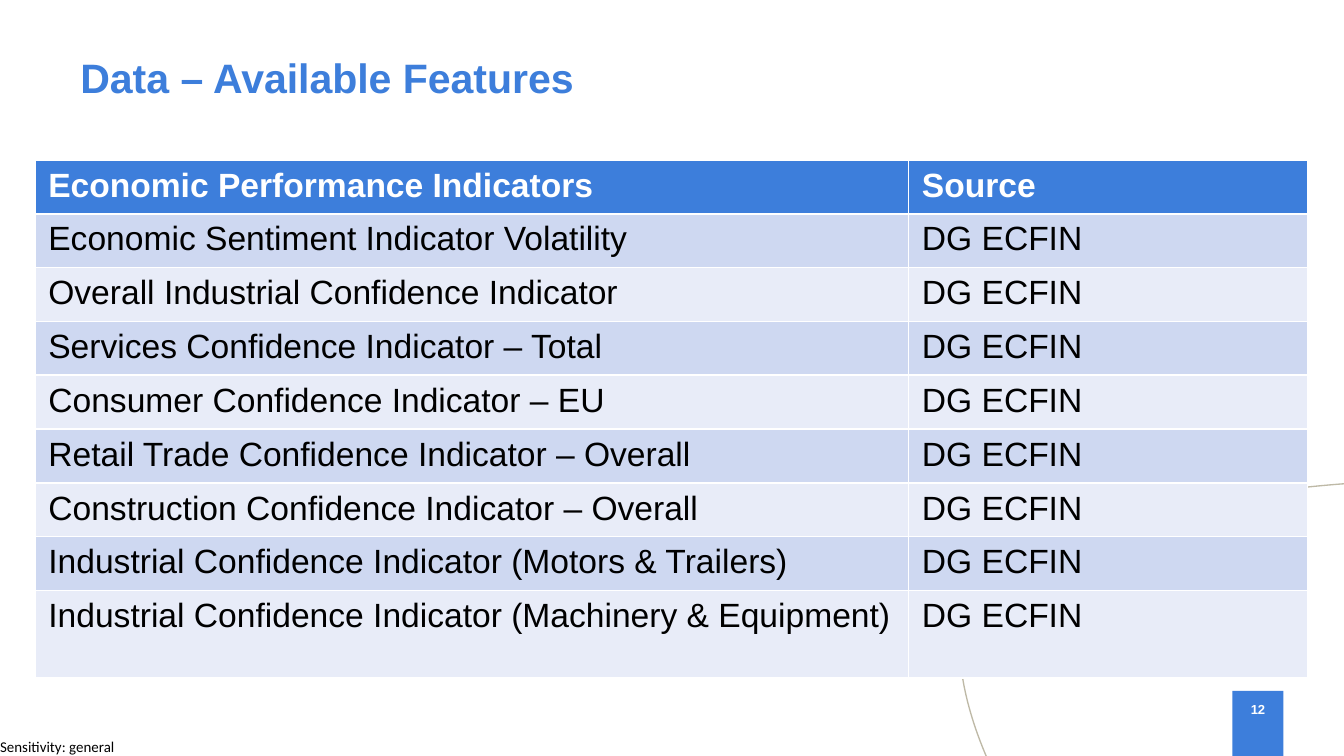
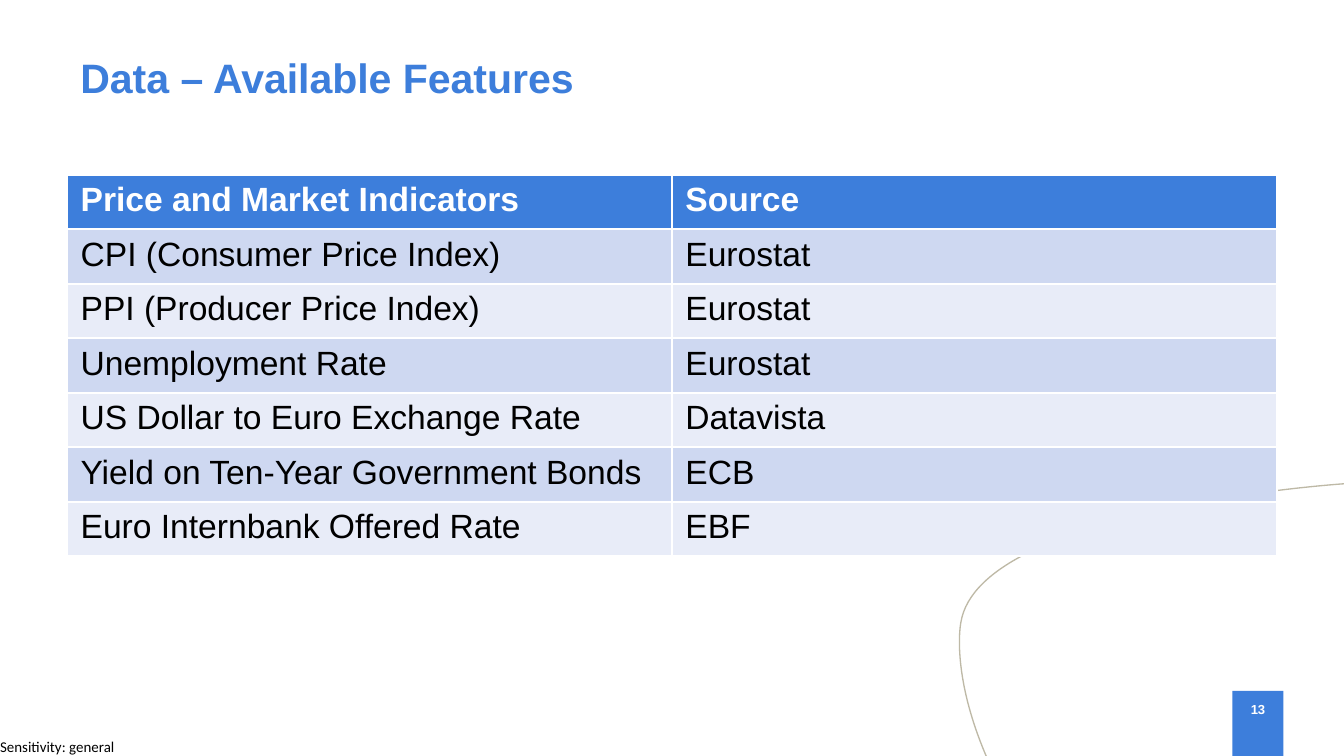
"""Build two slides listing the available data features and their sources."""
from lxml import etree
from pptx import Presentation
from pptx import util as u
from pptx.dml.color import RGBColor
from pptx.enum import shapes, text
from pptx.oxml.ns import qn

THEME = {
    "blue": RGBColor.from_string("3D7EDB"),
    "curve": RGBColor.from_string("BEB9A6"),
    "bands": [RGBColor.from_string("E8ECF8"), RGBColor.from_string("CED8F1")],
    "title": {"name": "Arial", "size": 22, "bold": True, "color": "3D7EDB"},
    "header": {"name": "Arial", "size": 18, "bold": True, "color": "FFFFFF"},
    "body": {"name": "Arial", "size": 18, "bold": False, "color": "000000"},
    "number": {"name": "Arial", "size": 7, "bold": True, "color": "FFFFFF"},
    "footer": {"name": "Calibri", "size": 8, "bold": False, "color": "000000"},
}
CURVE = [(10, 3.6), (10, 3.6), (7.29, 3.78), (7.15, 4.63),
         (7.15, 4.63), (7.07, 5), (7.34, 5.63)]
SLIDES = [
    {
        "number": 12, "left": 0.26, "top": 1.19, "height": 3.85, "columns": [6.5, 2.97],
        "row_heights": [0.37] * 8 + [0.65],
        "rows": [("Economic Performance Indicators", "Source")] + [
            (indicator, "DG ECFIN") for indicator in (
                "Economic Sentiment Indicator Volatility",
                "Overall Industrial Confidence Indicator",
                "Services Confidence Indicator – Total",
                "Consumer Confidence Indicator – EU",
                "Retail Trade Confidence Indicator – Overall",
                "Construction Confidence Indicator – Overall",
                "Industrial Confidence Indicator (Motors & Trailers)",
                "Industrial Confidence Indicator (Machinery & Equipment)",
            )],
    },
    {
        "number": 13, "left": 0.5, "top": 1.3, "height": 2.84, "columns": [4.5, 4.5],
        "row_heights": [2.84 / 7] * 7,
        "rows": [
            ("Price and Market Indicators", "Source"),
            ("CPI (Consumer Price Index)", "Eurostat"),
            ("PPI (Producer Price Index)", "Eurostat"),
            ("Unemployment Rate", "Eurostat"),
            ("US Dollar to Euro Exchange Rate", "Datavista"),
            ("Yield on Ten-Year Government Bonds", "ECB"),
            ("Euro Internbank Offered Rate", "EBF"),
        ],
    },
]


def write(frame, words, style, frame_format=None, para_format=None):
    for name, value in (frame_format or {}).items():
        setattr(frame, name, value)
    para = frame.paragraphs[0]
    for name, value in (para_format or {}).items():
        setattr(para, name, value)
    span = para.add_run()
    span.text = words
    font = THEME[style]
    values = {"name": font["name"], "size": u.Pt(font["size"]), "bold": font["bold"]}
    for name, value in values.items():
        setattr(span.font, name, value)
    span.font.color.rgb = RGBColor.from_string(font["color"])


deck = Presentation()
deck.slide_width = u.Inches(10)
deck.slide_height = deck.slide_width * 9 // 16

for content in SLIDES:
    page = deck.slides.add_slide(deck.slide_layouts[6])

    footer = page.shapes.add_textbox(0, u.Inches(5.49), u.Inches(0.88), u.Inches(0.13))
    write(footer.text_frame, "Sensitivity: general", "footer", {
        "margin_left": 0, "margin_top": 0, "margin_right": 0, "margin_bottom": 0,
        "word_wrap": True, "auto_size": text.MSO_AUTO_SIZE.SHAPE_TO_FIT_TEXT})

    points = [(u.Inches(x), u.Inches(y)) for x, y in CURVE]
    builder = page.shapes.build_freeform(*points[0])
    builder.add_line_segments(points[1:], close=False)
    curve = builder.convert_to_shape()
    curve.shadow.inherit = False
    curve.fill.background()
    curve.line.color.rgb = THEME["curve"]
    curve.line.width = u.Pt(0.7)
    outline = next(curve._element.iter(qn("a:path")))
    segments = outline.findall(qn("a:lnTo"))
    for start in range(0, len(segments), 3):
        bezier = etree.SubElement(outline, qn("a:cubicBezTo"))
        for segment in segments[start:start + 3]:
            bezier.append(segment[0])
            outline.remove(segment)

    title = page.shapes.add_textbox(u.Inches(0.5), u.Inches(0.37), u.Inches(9), u.Inches(0.87))
    write(title.text_frame, "Data – Available Features", "title",
          {"word_wrap": True}, {"line_spacing": 0.95})

    number = page.shapes.add_shape(shapes.MSO_SHAPE.RECTANGLE, u.Inches(9.17), u.Inches(5.14),
                                   u.Inches(0.38), u.Inches(0.49))
    number.shadow.inherit = False
    number.fill.solid()
    number.fill.fore_color.rgb = THEME["blue"]
    number.line.fill.background()
    inset = u.Inches(0.08)
    write(number.text_frame, str(content["number"]), "number", {
        "margin_left": inset, "margin_top": inset, "margin_right": inset, "margin_bottom": 0,
        "word_wrap": False, "vertical_anchor": text.MSO_ANCHOR.TOP},
        {"alignment": text.PP_ALIGN.CENTER})

    rows, columns = content["rows"], content["columns"]
    holder = page.shapes.add_table(
        len(rows), len(columns), u.Inches(content["left"]), u.Inches(content["top"]),
        u.Inches(sum(columns)), u.Inches(content["height"]))
    table = holder.table
    for column, width in zip(table.columns, columns):
        column.width = u.Inches(width)
    for index, (row, height, words) in enumerate(zip(table.rows, content["row_heights"], rows)):
        row.height = u.Inches(height)
        for cell, entry in zip(row.cells, words):
            cell.fill.solid()
            cell.fill.fore_color.rgb = THEME["bands"][index % 2] if index else THEME["blue"]
            write(cell.text_frame, entry, "body" if index else "header")
    holder.height = u.Inches(content["height"])

deck.save("out.pptx")
